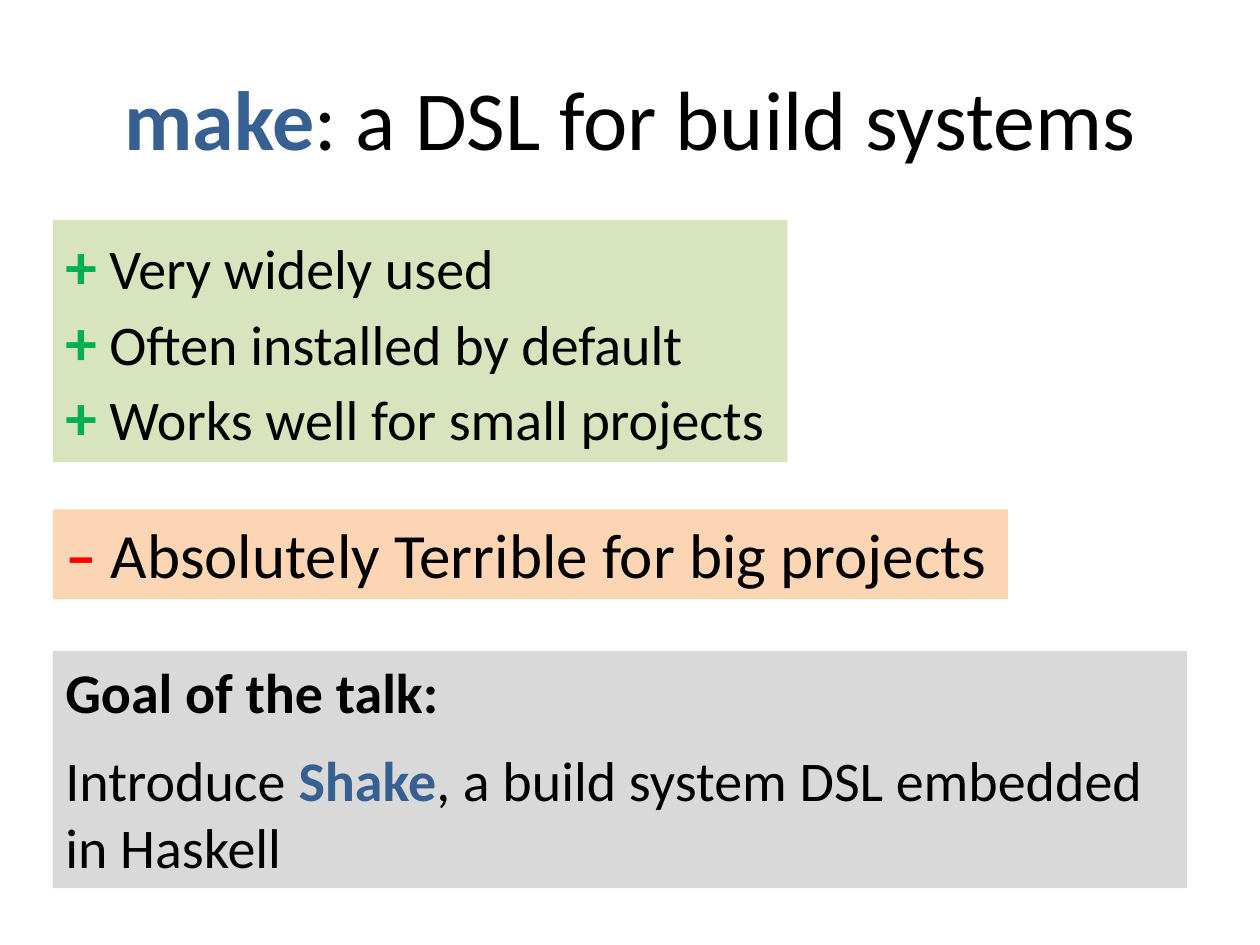
import pptx
import pptx.util
import pptx.dml.color
import pptx.enum.shapes
import pptx.enum.text

RGB = pptx.dml.color.RGBColor
BLACK = RGB(0x00, 0x00, 0x00)
BLUE = RGB(0x37, 0x60, 0x92)
GREEN = RGB(0x00, 0xB0, 0x50)
RED = RGB(0xFF, 0x00, 0x00)
LIME = RGB(0xD7, 0xE4, 0xBD)
PEACH = RGB(0xFC, 0xD5, 0xB5)
GRAY = RGB(0xD9, 0xD9, 0xD9)
WIDE, HIGH = pptx.util.Inches(10), pptx.util.Inches(7.5)
LEFT = 0.042
ALIGN = pptx.enum.text.PP_ALIGN
ANCHOR = pptx.enum.text.MSO_ANCHOR
FIT = pptx.enum.text.MSO_AUTO_SIZE


def scale(box):
    """Turn shares of the slide's size into lengths."""
    return [round(part * full) for part, full in zip(box, (WIDE, HIGH) * 2)]


def write(para, text, size=32, color=BLACK, bold=False):
    """Add a formatted run to a paragraph."""
    run = para.add_run()
    run.text = text
    font = run.font
    font.name, font.size, font.bold = "Calibri", pptx.util.Pt(size), bold
    font.color.rgb = color


def panel(slide, box, fill, count):
    """Draw a filled panel and return its left-aligned paragraphs."""
    kind = pptx.enum.shapes.MSO_SHAPE.RECTANGLE
    shape = slide.shapes.add_shape(kind, *scale(box))
    shape.shadow.inherit = False
    shape.fill.solid()
    shape.fill.fore_color.rgb = fill
    shape.line.fill.background()
    frame = shape.text_frame
    frame.word_wrap = True
    frame.auto_size = FIT.SHAPE_TO_FIT_TEXT
    frame.vertical_anchor = ANCHOR.TOP
    paras = [frame.paragraphs[0]]
    paras += [frame.add_paragraph() for _ in range(count - 1)]
    for para in paras:
        para.alignment = ALIGN.LEFT
    return paras


def title(slide, box):
    """Place the centred heading."""
    frame = slide.shapes.add_textbox(*scale(box)).text_frame
    frame.word_wrap = True
    frame.vertical_anchor = ANCHOR.MIDDLE
    para = frame.paragraphs[0]
    para.alignment = ALIGN.CENTER
    write(para, "make", size=48, color=BLUE, bold=True)
    write(para, ": a DSL for build systems", size=48)


def pros(slide, box):
    """Place the panel of advantages."""
    items = ["Very widely used", "Often installed by default",
             "Works well for small projects"]
    for para, item in zip(panel(slide, box, LIME, len(items)), items):
        write(para, "+", size=36, color=GREEN, bold=True)
        write(para, " " + item)


def cons(slide, box):
    """Place the panel with the drawback."""
    para, = panel(slide, box, PEACH, 1)
    write(para, "– ", size=36, color=RED, bold=True)
    write(para, "Absolutely Terrible for big projects", size=36)


def goal(slide, box):
    """Place the panel with the aim of the talk."""
    head, body = panel(slide, box, GRAY, 2)
    head.space_after = pptx.util.Pt(12)
    write(head, "Goal of the talk:", bold=True)
    write(body, "Introduce ")
    write(body, "Shake", color=BLUE, bold=True)
    write(body, ", a build system DSL embedded in Haskell")


def main():
    """Build the slide and save it."""
    deck = pptx.Presentation()
    deck.slide_width, deck.slide_height = WIDE, HIGH
    slide = deck.slides.add_slide(deck.slide_layouts[6])
    title(slide, (0.05, 0.04, 0.9, 1 / 6))
    pros(slide, (LEFT, 0.233, 0.583, 0.256))
    cons(slide, (LEFT, 0.539, 0.758, 0.095))
    goal(slide, (LEFT, 0.689, 0.9, 0.251))
    deck.save("out.pptx")


if __name__ == "__main__":
    main()
